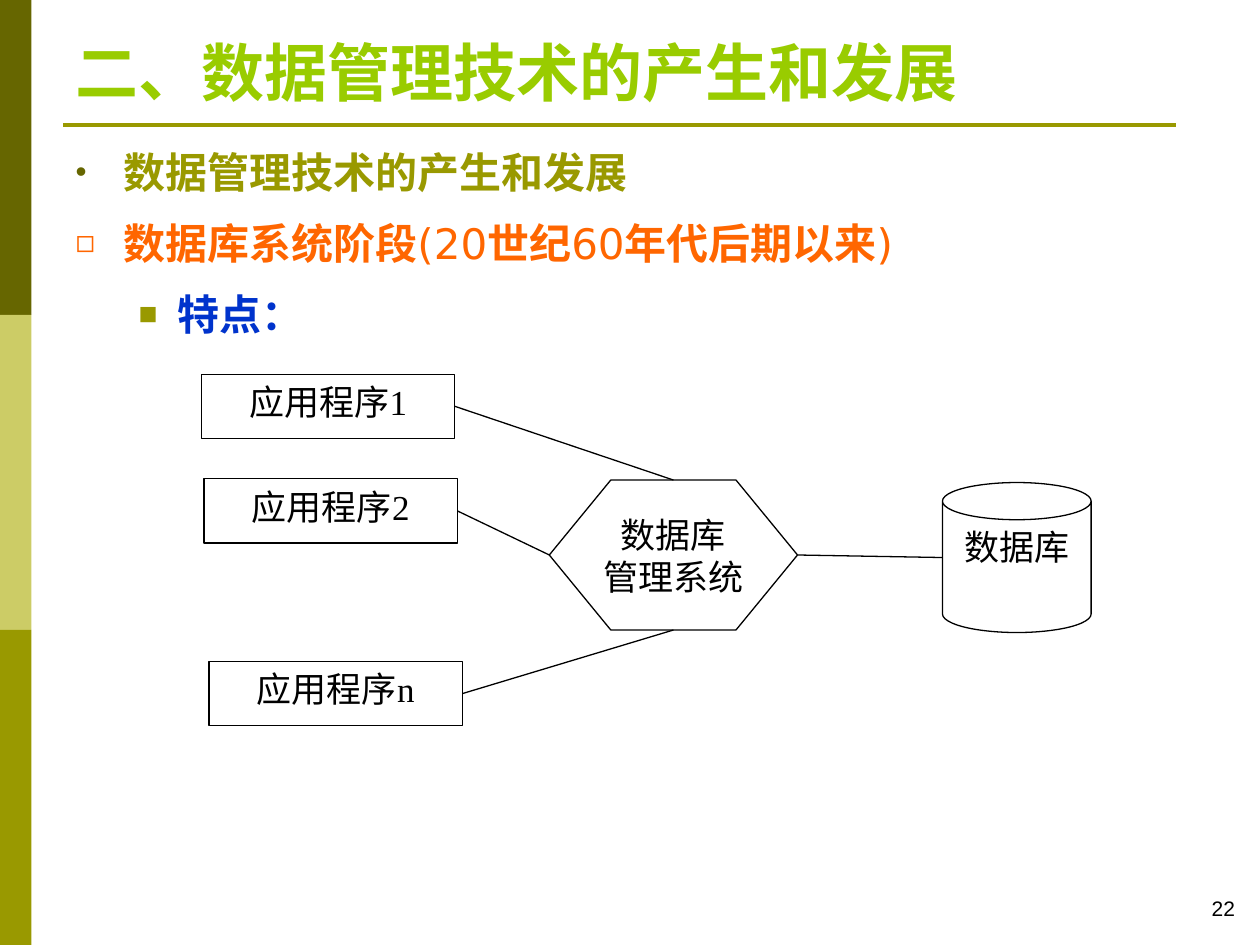
from dataclasses import dataclass

from lxml import etree
from pptx import Presentation, util as u
from pptx.dml.color import RGBColor
from pptx.enum import shapes, text
from pptx.oxml import ns

KIND = shapes.MSO_SHAPE
ALIGN = text.PP_ALIGN
ANCHOR = text.MSO_ANCHOR
CELL = u.Inches(0.25)
COLS, ROWS = 40, 30


@dataclass(frozen=True)
class Theme:
    """Colours, fonts and type sizes of the deck."""
    dark: str = "666600"
    pale: str = "CCCC66"
    olive: str = "999900"
    lime: str = "99CC00"
    orange: str = "FF6600"
    blue: str = "0033CC"
    ink: str = "000000"
    paper: str = "FFFFFF"
    serif: str = "Times New Roman"
    sans: str = "DejaVu Sans"
    plain: str = "Arial"
    head: int = 36
    body: int = 24
    node: int = 20
    foot: int = 12


T = Theme()


def put(item, **vals):
    """Set each given value as an attribute of the item."""
    for key, val in vals.items():
        setattr(item, key, val)


def span(*cells):
    """Turn grid cells into lengths."""
    return [round(c * CELL) for c in cells]


def place(item, box):
    """Move and size an item to a grid box."""
    put(item, **dict(zip(("left", "top", "width", "height"), span(*box))))


def style(item, size, face, hue, bold=False):
    """Format the font of a run or paragraph."""
    put(item.font, size=u.Pt(size), name=face, bold=bold)
    item.font.color.rgb = RGBColor.from_string(hue)


def shape(slide, kind, box, fill, edge=None):
    """Add a flat preset shape in a grid box."""
    item = slide.shapes.add_shape(kind, *span(*box))
    item.shadow.inherit = False
    item.fill.solid()
    item.fill.fore_color.rgb = RGBColor.from_string(fill)
    if edge:
        item.line.color.rgb = RGBColor.from_string(edge)
        item.line.width = u.Pt(0.75)
    else:
        item.line.fill.background()
    return item


def link(slide, start, end, hue, width):
    """Draw a straight line between two points."""
    item = slide.shapes.add_connector(shapes.MSO_CONNECTOR.STRAIGHT, *start, *end)
    item.line.color.rgb = RGBColor.from_string(hue)
    item.line.width = u.Pt(width)
    etree.SubElement(item._element.spPr, ns.qn("a:effectLst"))


def bullet(para, mark, hue, left, hang):
    """Give a paragraph its bullet and hanging indent."""
    props = para._p.get_or_add_pPr()
    props.set("marL", str(u.Inches(left)))
    props.set("indent", str(-u.Inches(hang)))
    tint = etree.SubElement(props, ns.qn("a:buClr"))
    etree.SubElement(tint, ns.qn("a:srgbClr"), val=hue)
    etree.SubElement(props, ns.qn("a:buSzPct"), val="75000")
    etree.SubElement(props, ns.qn("a:buChar"), char=mark)


def frame(slide, box):
    """Draw the side bands and the rule below the title."""
    left, top, width, height = box
    band = height / 3
    for i, hue in enumerate((T.dark, T.pale, T.olive)):
        shape(slide, KIND.RECTANGLE, (left, top + i * band, 1, band), hue)
    rule = top + 3.96
    link(slide, span(left + 2, rule), span(left + 37.32, rule), T.olive, 2.25)


def title(slide, box, words):
    """Fill the title placeholder."""
    item = slide.shapes.title
    place(item, box)
    put(item.text_frame, text=words, vertical_anchor=ANCHOR.BOTTOM,
        auto_size=text.MSO_AUTO_SIZE.NONE)
    para = item.text_frame.paragraphs[0]
    para.alignment = ALIGN.LEFT
    style(para.runs[0], T.head, T.serif, T.lime, True)


def body(slide, box, rows):
    """Fill the body placeholder with bulleted rows."""
    item = slide.placeholders[1]
    place(item, box)
    area = item.text_frame
    put(area, auto_size=text.MSO_AUTO_SIZE.NONE, vertical_anchor=ANCHOR.TOP)
    for i, (level, mark, tint, hue, parts) in enumerate(rows):
        para = area.add_paragraph() if i else area.paragraphs[0]
        bullet(para, mark, tint, *((0.81, 0.31) if level else (0.38, 0.38)))
        put(para, level=level, line_spacing=1.2, alignment=ALIGN.LEFT,
            space_before=u.Pt(6 if i else 0))
        for j, words in enumerate(parts):
            run = para.add_run()
            run.text = words
            style(run, T.body, T.sans, hue, j % 2 == 0)


def node(slide, kind, box, words, anchor=ANCHOR.TOP):
    """Add an outlined, labelled part of the diagram."""
    item = shape(slide, kind, box, T.paper, T.ink)
    put(item.text_frame, text=words, word_wrap=False, vertical_anchor=anchor)
    for para in item.text_frame.paragraphs:
        para.alignment = ALIGN.CENTER
        style(para.runs[0], T.node, T.serif, T.ink)
    return item


def side(item, across, down):
    """Find a point at shares of an item's width and height."""
    return (round(item.left + across * item.width),
            round(item.top + down * item.height))


def diagram(slide, box):
    """Draw the programs, the management system and the database."""
    left, top, width, height = box
    apps = [node(slide, KIND.RECTANGLE, (left + dx, top + dy, 8.04, 2.04), "应用程序" + tag)
            for dx, dy, tag in ((0, 0, "1"), (0.08, 3.32, "2"), (0.24, height - 2.04, "n"))]
    core = node(slide, KIND.HEXAGON, (left + 11.04, top + 3.36, 7.88, 4.76),
                "数据库\n管理系统", ANCHOR.MIDDLE)
    core.adjustments[0] = 0.41
    store = node(slide, KIND.CAN, (left + width - 4.72, top + 3.44, 4.72, 4.76), "数据库")
    for app, spot in zip(apps, ((0.5, 0), (0, 0.5), (0.5, 1))):
        link(slide, side(app, 1, 0.5), side(core, *spot), T.ink, 0.75)
    link(slide, side(core, 1, 0.5), side(store, 0, 0.5), T.ink, 0.75)


def number(slide, box, words):
    """Write the page number."""
    area = slide.shapes.add_textbox(*span(*box)).text_frame
    put(area, text=words, word_wrap=True)
    para = area.paragraphs[0]
    para.alignment = ALIGN.RIGHT
    style(para.runs[0], T.foot, T.plain, T.ink)


def main():
    """Build the slide and save it."""
    deck = Presentation()
    put(deck, slide_width=COLS * CELL, slide_height=ROWS * CELL)
    slide = deck.slides.add_slide(deck.slide_layouts[1])
    frame(slide, (0, 0, COLS, ROWS))
    title(slide, (2, 0.84, 36, 2.84), "二、数据管理技术的产生和发展")
    body(slide, (2, 4.12, 36, 21.88), (
        (0, "•", T.dark, T.olive, ["数据管理技术的产生和发展"]),
        (0, "◻", T.orange, T.orange,
         ["数据库系统阶段", "(20", "世纪", "60", "年代后期以来", ")"]),
        (1, "■", T.olive, T.blue, ["特点："]),
    ))
    diagram(slide, (6.4, 11.88, 28.24, 11.16))
    number(slide, (34.24, 28.24, 5.36, 1.2), "22")
    deck.save("out.pptx")


if __name__ == "__main__":
    main()
